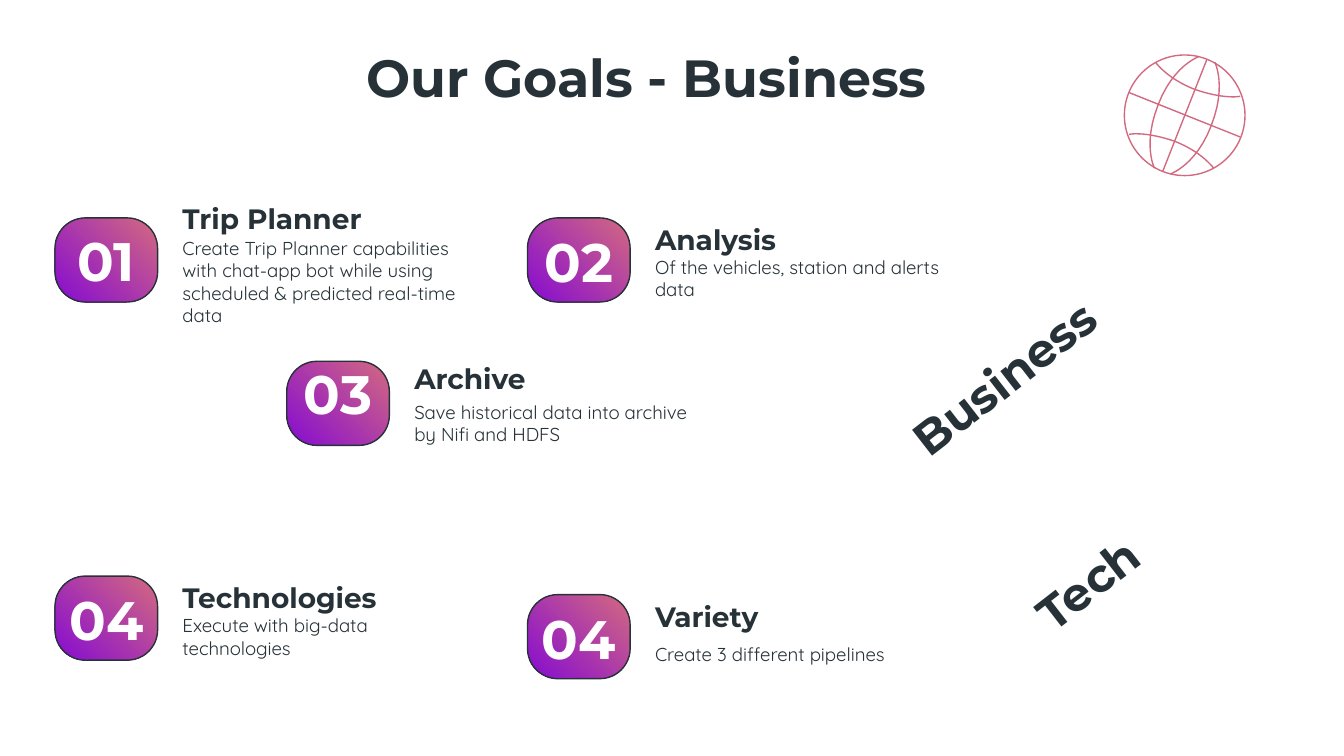
from dataclasses import dataclass

import pptx
import pptx.dml.color
import pptx.enum.shapes
import pptx.enum.text
import pptx.util
from lxml import etree
from pptx.oxml.ns import qn
from pptx.util import Cm

INK, WHITE, PINK, PURPLE = "263238", "FFFFFF", "D36980", "860CD1"
HEADING_FONT, BODY_FONT = "Montserrat", "Quicksand"
LEFT = pptx.enum.text.PP_ALIGN.LEFT
CENTER = pptx.enum.text.PP_ALIGN.CENTER
TOP = pptx.enum.text.MSO_ANCHOR.TOP
MIDDLE = pptx.enum.text.MSO_ANCHOR.MIDDLE

BADGE_WIDTH, BADGE_HEIGHT = 1.94, 1.59
TEXT_OFFSET, TEXT_WIDTH = 2.16, 6.07
GLOBE_X, GLOBE_Y, GLOBE_RADIUS = 22.39, 2.18, 1.14

Point = tuple[float, float]


@dataclass
class Goal:
    """One numbered goal; lengths are in centimetres."""
    number: str
    heading: str
    body: str
    left: float
    top: float
    number_top: float
    heading_top: float
    body_top: float
    body_height: float = 0.91
    body_anchor: pptx.enum.text.MSO_ANCHOR = MIDDLE


@dataclass
class TextStyle:
    size: float
    font: str = HEADING_FONT
    color: str = INK
    bold: bool = True
    align: pptx.enum.text.PP_ALIGN = LEFT


TITLE = TextStyle(28, align=CENTER)
SIDE_LABEL = TextStyle(25, align=CENTER)
NUMBER = TextStyle(29, color=WHITE, align=CENTER)
HEADING = TextStyle(15)
BODY = TextStyle(10, font=BODY_FONT, bold=False)

GOALS = [
    Goal("01", "Trip Planner",
         "Create Trip Planner capabilities with chat-app bot while using "
         "scheduled & predicted real-time data",
         1.04, 4.12, 4.29, 3.71, 4.14, body_height=2.36),
    Goal("02", "Analysis", "Of the vehicles, station and alerts data",
         9.97, 4.12, 4.32, 4.11, 4.8),
    Goal("03", "Archive", "Save historical data into archive by Nifi and HDFS",
         5.42, 6.83, 6.81, 6.73, 7.32, body_height=1.24, body_anchor=TOP),
    Goal("04", "Technologies", "Execute with big-data technologies",
         1.04, 10.89, 11.07, 10.88, 11.58),
    Goal("04", "Variety", "Create 3 different pipelines",
         9.97, 11.24, 11.43, 11.23, 11.91),
]

# Each curve is a chain of cubic Bézier segments sharing their end points.
MERIDIAN = [(21.82, 3.18), (21.82, 3.18), (21.59, 2.74), (21.89, 1.98),
            (22.17, 1.24), (22.66, 1.07), (22.66, 1.07)]
PARALLEL = [(22.94, 3.18), (22.81, 3.02), (22.58, 2.82), (22.2, 2.67),
            (21.82, 2.54), (21.51, 2.51), (21.34, 2.54)]
AXES = [((22.81, 1.12), (21.97, 3.25)), ((21.34, 1.75), (23.44, 2.59))]


def rgb(color: str) -> pptx.dml.color.RGBColor:
    return pptx.dml.color.RGBColor.from_string(color)


def set_line(shape, color: str) -> None:
    shape.line.color.rgb = rgb(color)
    shape.line.width = pptx.util.Pt(0.75)


def add_text(page, text: str, left: float, top: float, width: float,
             height: float, style: TextStyle, anchor=MIDDLE,
             rotation: float = 0) -> None:
    box = page.shapes.add_textbox(Cm(left), Cm(top), Cm(width), Cm(height))
    box.rotation = rotation
    frame = box.text_frame
    frame.word_wrap = True
    frame.vertical_anchor = anchor
    frame.margin_left = frame.margin_right = Cm(0.25)
    frame.margin_top = frame.margin_bottom = Cm(0.25)
    frame.text = text
    para = frame.paragraphs[0]
    para.alignment = style.align
    font = para.runs[0].font
    font.name = style.font
    font.size = pptx.util.Pt(style.size)
    font.bold = style.bold
    font.color.rgb = rgb(style.color)


def add_badge(page, left: float, top: float) -> None:
    badge = page.shapes.add_shape(
        pptx.enum.shapes.MSO_SHAPE.ROUNDED_RECTANGLE,
        Cm(left), Cm(top), Cm(BADGE_WIDTH), Cm(BADGE_HEIGHT))
    badge.adjustments[0] = 0.36
    badge.shadow.inherit = False
    badge.fill.gradient()
    badge.fill.gradient_angle = 225
    for stop, color in zip(badge.fill.gradient_stops, (PINK, PURPLE)):
        stop.color.rgb = rgb(color)
    set_line(badge, INK)


def add_goal(page, goal: Goal) -> None:
    add_badge(page, goal.left, goal.top)
    add_text(page, goal.number, goal.left, goal.number_top,
             BADGE_WIDTH, 1.24, NUMBER)
    text_left = goal.left + TEXT_OFFSET
    add_text(page, goal.heading, text_left, goal.heading_top,
             TEXT_WIDTH, 0.84, HEADING)
    add_text(page, goal.body, text_left, goal.body_top,
             TEXT_WIDTH, goal.body_height, BODY, goal.body_anchor)


def curve_points(controls: list[Point], steps: int = 12) -> list[Point]:
    """Sample a chain of cubic Bézier segments."""
    points = [controls[0]]
    for first in range(0, len(controls) - 1, 3):
        segment = controls[first:first + 4]
        for step in range(1, steps + 1):
            t = step / steps
            weights = ((1 - t) ** 3, 3 * t * (1 - t) ** 2,
                       3 * t ** 2 * (1 - t), t ** 3)
            points.append((sum(w * x for w, (x, _) in zip(weights, segment)),
                           sum(w * y for w, (_, y) in zip(weights, segment))))
    return points


def add_curve(page, controls: list[Point]) -> None:
    points = [(Cm(x), Cm(y)) for x, y in curve_points(controls)]
    builder = page.shapes.build_freeform(*points[0])
    builder.add_line_segments(points[1:], close=False)
    curve = builder.convert_to_shape()
    curve.shadow.inherit = False
    curve.fill.background()
    set_line(curve, PINK)


def add_globe(page) -> None:
    outline = page.shapes.add_shape(
        pptx.enum.shapes.MSO_SHAPE.OVAL,
        Cm(GLOBE_X - GLOBE_RADIUS), Cm(GLOBE_Y - GLOBE_RADIUS),
        Cm(2 * GLOBE_RADIUS), Cm(2 * GLOBE_RADIUS))
    outline.shadow.inherit = False
    outline.fill.background()
    set_line(outline, PINK)
    for (x1, y1), (x2, y2) in AXES:
        axis = page.shapes.add_connector(
            pptx.enum.shapes.MSO_CONNECTOR.STRAIGHT,
            Cm(x1), Cm(y1), Cm(x2), Cm(y2))
        set_line(axis, PINK)
        etree.SubElement(axis._element.spPr, qn("a:effectLst"))
    for curve in (MERIDIAN, PARALLEL):
        add_curve(page, curve)
        add_curve(page, [(2 * GLOBE_X - x, 2 * GLOBE_Y - y) for x, y in curve])


def main() -> None:
    deck = pptx.Presentation()
    deck.slide_width, deck.slide_height = Cm(25.4), Cm(14.29)
    page = deck.slides.add_slide(deck.slide_layouts[6])
    add_text(page, "Our Goals - Business", 1.5, 0.94, 21.44, 1.02, TITLE)
    add_globe(page)
    for goal in GOALS:
        add_goal(page, goal)
    for label, left, top in (("Business", 15.54, 6.35), ("Tech", 17.12, 10.24)):
        add_text(page, label, left, top, 6.86, 1.57, SIDE_LABEL, TOP, 322.2)
    deck.save("out.pptx")


if __name__ == "__main__":
    main()
